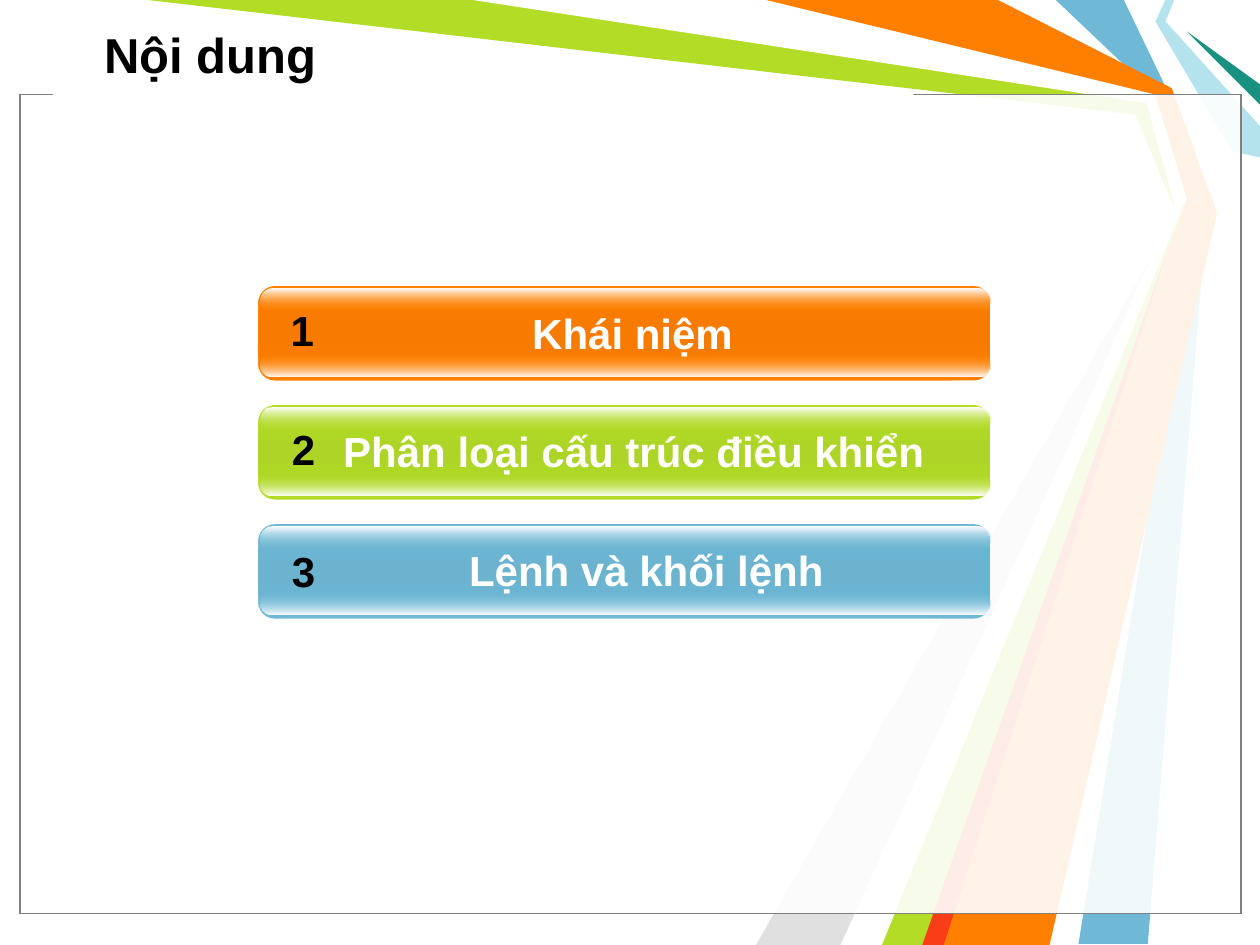
from lxml.etree import SubElement
from pptx import Presentation
from pptx.dml.color import RGBColor
from pptx.enum.shapes import MSO_SHAPE
from pptx.enum.text import MSO_ANCHOR, MSO_AUTO_SIZE, PP_ALIGN
from pptx.oxml.ns import qn
from pptx.util import Inches, Pt

CELL = 9144  # one grid cell is 0.01 inch
COLS, ROWS = 1000, 750
FONT = "Arial"
BLACK, WHITE, GREY = "000000", "FFFFFF", "808080"
ORANGE, GREEN, BLUE = "FF7F00", "B3DC27", "6FB9D7"

# Ribbons from back to front: colour and corners in grid cells
RIBBONS = [
    (BLUE, [(892, 0), (929, 77), (958, 167), (911, 749), (856, 749),
            (950, 167), (917, 75), (838, 0)]),
    (GREEN, [(117, 0), (383, 0), (914, 78), (942, 169), (742, 750),
             (692, 750), (935, 173), (901, 91)]),
    ("E0E0E0", [(667, 750), (927, 181), (600, 750)]),
    (WHITE, [(375, 0), (910, 82), (932, 162), (675, 750), (700, 750),
             (941, 158), (917, 75), (600, 0)]),
    ("B4E3EE", [(925, 0), (917, 17), (978, 120), (1000, 125), (1000, 100),
                (925, 17), (932, 0)]),
    ("189180", [(1000, 83), (942, 25), (1000, 67)]),
    (ORANGE, [(608, 0), (792, 0), (930, 70), (966, 169), (833, 750),
              (733, 750), (942, 158), (917, 75)]),
    ("F93D17", [(732, 750), (932, 183), (749, 750)]),
]

# Bars: colour, middle shade, label, label position, number position
BARS = [
    (ORANGE, "F67B00", "Khái niệm", (256, 239), (219, 237)),
    (GREEN, "ADD426", "Phân loại cấu trúc điều khiển", (257, 333), (220, 331)),
    (BLUE, "6BB3CF", "Lệnh và khối lệnh", (267, 427), (220, 428)),
]
BAR_LEFT, BAR_TOP, BAR_PITCH = 205, 227, 94.5
BAR_WIDTH, BAR_HEIGHT = 581, 75


def rgb(color):
    return RGBColor.from_string(color)


def cells(*counts):
    return [round(n * CELL) for n in counts]


def add_alpha(color_element, percent):
    SubElement(color_element, qn("a:alpha"), val=str(percent * 1000))


class Deck:
    def __init__(self):
        self.prs = Presentation()
        self.prs.slide_width, self.prs.slide_height = cells(COLS, ROWS)
        self.slide = self.prs.slides.add_slide(self.prs.slide_layouts[6])
        self.shapes = self.slide.shapes

    def ribbon(self, color, points):
        builder = self.shapes.build_freeform(*points[0], scale=CELL)
        builder.add_line_segments(points[1:], close=True)
        sp = builder.convert_to_shape()
        self.paint(sp, color)

    def paint(self, sp, color, opacity=100, line=None):
        sp.shadow.inherit = False
        sp.fill.solid()
        sp.fill.fore_color.rgb = rgb(color)
        if opacity < 100:
            add_alpha(sp._element.spPr.find(".//" + qn("a:srgbClr")), opacity)
        if line:
            sp.line.color.rgb = rgb(line)
            sp.line.width = Pt(0.75)
        else:
            sp.line.fill.background()

    def panel(self, box, color, opacity=100, line=None):
        sp = self.shapes.add_shape(MSO_SHAPE.RECTANGLE, *cells(*box))
        self.paint(sp, color, opacity, line)

    def gradient(self, box, corner, stops):
        """Rounded bar shaded from top to bottom; stops are (place, colour, opacity)."""
        sp = self.shapes.add_shape(MSO_SHAPE.ROUNDED_RECTANGLE, *cells(*box))
        sp.adjustments[0] = corner
        sp.shadow.inherit = False
        sp.line.fill.background()
        sp.fill.gradient()
        grad = sp._element.spPr.find(qn("a:gradFill"))
        for child in list(grad):
            grad.remove(child)
        gs_list = SubElement(grad, qn("a:gsLst"))
        for place, color, opacity in stops:
            gs = SubElement(gs_list, qn("a:gs"), pos=str(place * 1000))
            clr = SubElement(gs, qn("a:srgbClr"), val=color)
            if opacity < 100:
                add_alpha(clr, opacity)
        SubElement(grad, qn("a:lin"), ang="5400000", scaled="1")

    def glossy_bar(self, top, color, shade):
        self.gradient((BAR_LEFT, top, BAR_WIDTH, BAR_HEIGHT), 0.175,
                      [(0, color, 100), (50, shade, 100), (100, color, 100)])
        clear, white = (color, 0), (WHITE, 100)
        for offset, first, last in ((54, clear, white), (2, white, clear)):
            self.gradient((BAR_LEFT + 2, top + offset, BAR_WIDTH - 2, 18), 0.5,
                          [(0, *first), (100, *last)])

    def text(self, box, words, size, color, align=PP_ALIGN.CENTER, hanging=0):
        tf = self.shapes.add_textbox(*cells(*box)).text_frame
        tf.word_wrap = True
        p = tf.paragraphs[0]
        p.text = words
        p.alignment = align
        if hanging:
            pPr = p._p.get_or_add_pPr()
            pPr.set("marL", str(Inches(hanging)))
            pPr.set("indent", str(-Inches(hanging)))
        p.font.name, p.font.size, p.font.bold = FONT, Pt(size), True
        p.font.color.rgb = rgb(color)
        return tf


def main():
    deck = Deck()
    for color, points in RIBBONS:
        deck.ribbon(color, points)
    for line in (BLACK, GREY):
        deck.panel((16, 75, 969, 650), WHITE, 69, line)
    deck.panel((42, 74, 683, 17), WHITE)

    for i, (color, shade, *_) in enumerate(BARS):
        deck.glossy_bar(BAR_TOP + i * BAR_PITCH, color, shade)
    for number, (*_, label, label_at, number_at) in enumerate(BARS, 1):
        for tf in (
            deck.text((*label_at, 492, 50), label, 24, WHITE, hanging=0.5),
            deck.text((*number_at, 42, 50), str(number), 24, BLACK),
        ):
            tf.auto_size = MSO_AUTO_SIZE.SHAPE_TO_FIT_TEXT

    title = deck.text((73, 8, 911, 69), "Nội dung", 28, BLACK, PP_ALIGN.LEFT)
    title.vertical_anchor = MSO_ANCHOR.MIDDLE
    deck.prs.save("out.pptx")


if __name__ == "__main__":
    main()
